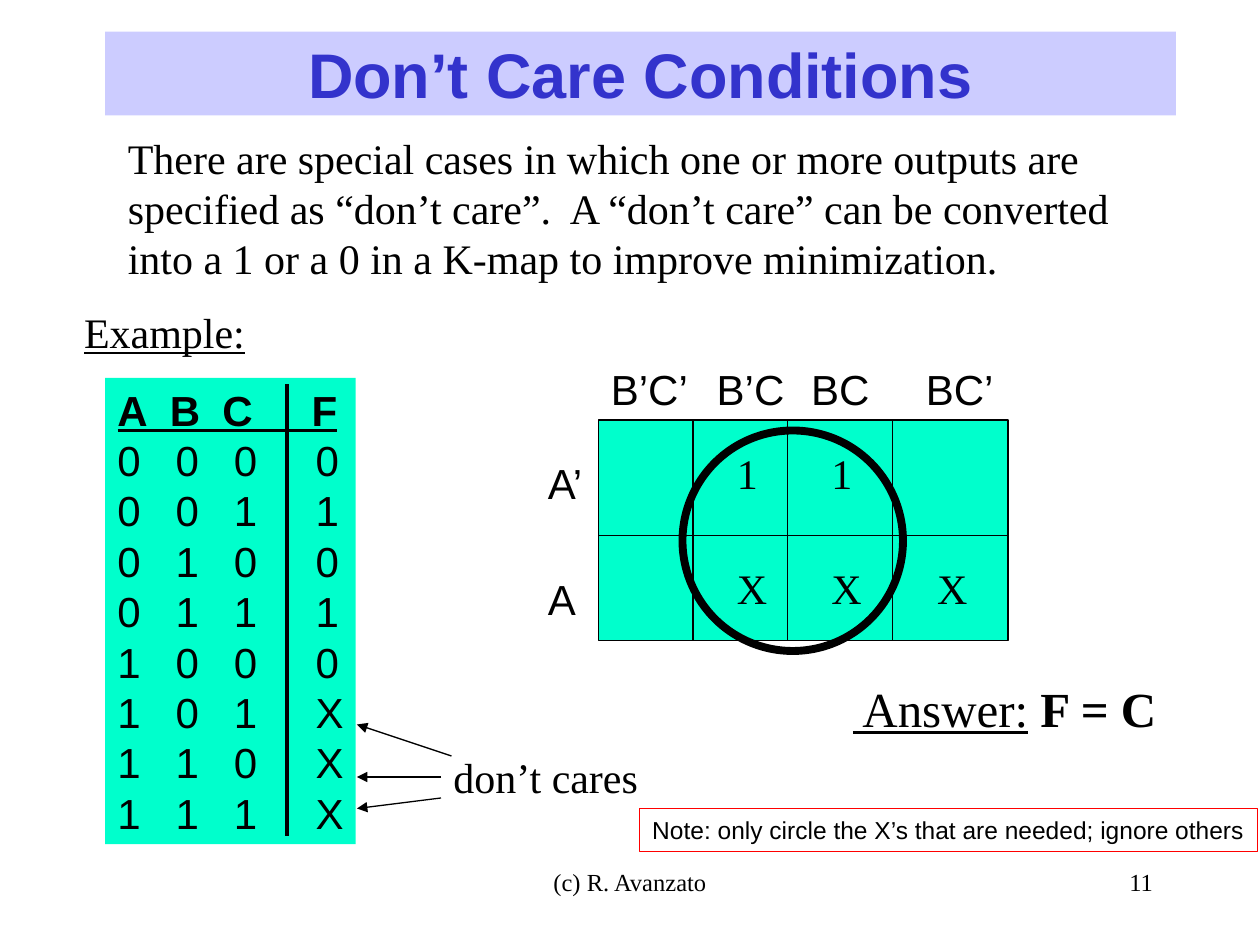
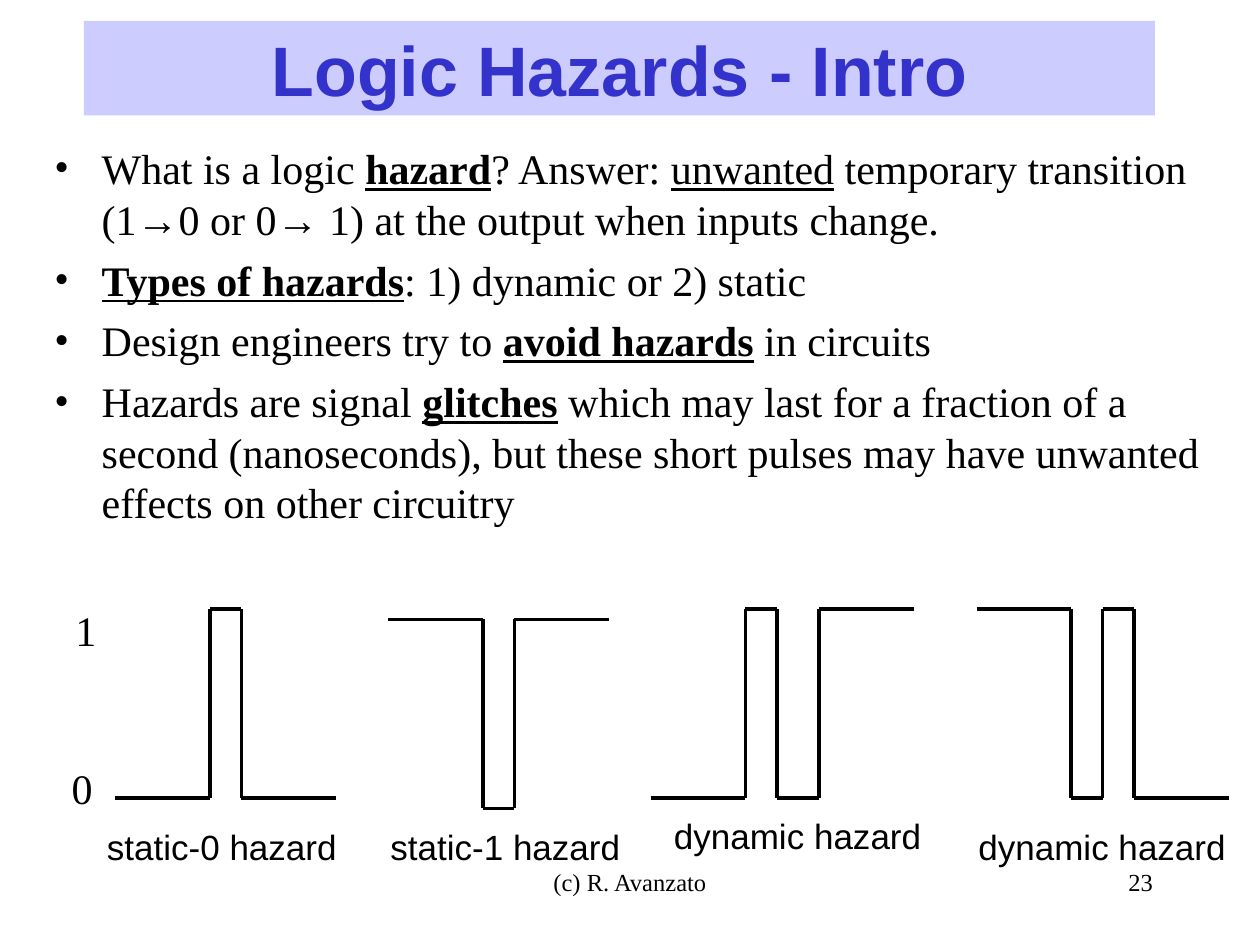
from dataclasses import dataclass
from itertools import accumulate, pairwise

from lxml.etree import SubElement
from pptx import Presentation
from pptx.dml.color import RGBColor as RGB
from pptx.enum.shapes import MSO_CONNECTOR as LINE, MSO_SHAPE as SHAPE
from pptx.enum.text import MSO_ANCHOR as ANCHOR, MSO_AUTO_SIZE as FIT, PP_ALIGN as ALIGN
from pptx.oxml.ns import qn
from pptx.util import Pt


@dataclass(frozen=True)
class Theme:
    ink: RGB = RGB(0, 0, 0)
    title: RGB = RGB(0x33, 0x33, 0xCC)
    band: RGB = RGB(0xCC, 0xCC, 0xFF)
    mint: RGB = RGB(0x00, 0xFF, 0xCC)
    alert: RGB = RGB(0xFF, 0, 0)
    serif: str = "Times New Roman"
    sans: str = "Arial"
    body: float = 24
    answer: float = 28
    caption: float = 20
    small: float = 14
    thin: float = 0.75
    rule: float = 1.25
    medium: float = 2.25
    thick: float = 4.5


T = Theme()


@dataclass(frozen=True)
class Box:
    x: float
    y: float
    w: float
    h: float = 36

    def pts(self) -> tuple:
        return Pt(self.x), Pt(self.y), Pt(self.w), Pt(self.h)


@dataclass(frozen=True)
class Span:
    text: str
    bold: bool = False
    underline: bool = False
    font: str | None = None


@dataclass(frozen=True)
class Label:
    text: str
    box: Box
    font: str = T.sans


@dataclass(frozen=True)
class Waveform:
    x: float
    high: float
    levels: str
    widths: tuple[float, ...]
    caption: Label
    swing: float = 108

    def points(self) -> list[tuple[float, float]]:
        edges = accumulate(self.widths, initial=self.x)
        pts = []
        for level, (left, right) in zip(self.levels, pairwise(edges)):
            y = self.high if level == "1" else self.high + self.swing
            pts += [(left, y), (right, y)]
        return pts


# Text and drawing helpers
def write(p, text: str | list[Span], *, font=T.serif, size=T.body, color=T.ink,
          bold=False, underline=False, align=ALIGN.LEFT, before=0,
          bullet: str = "", indent=0, tabs=()) -> None:
    spans = [Span(text, bold, underline)] if isinstance(text, str) else text
    p.alignment, p.space_before = align, Pt(before)
    pPr = p._p.get_or_add_pPr()
    if bullet:
        pPr.set("marL", str(Pt(indent)))
        pPr.set("indent", str(-Pt(indent)))
        SubElement(pPr, qn("a:buFont"), typeface=T.serif)
        SubElement(pPr, qn("a:buChar"), char=bullet)
    if tabs:
        stops = SubElement(pPr, qn("a:tabLst"))
        for pos in tabs:
            SubElement(stops, qn("a:tab"), pos=str(Pt(pos)), algn="l")
    for span in spans:
        r = p.add_run()
        r.text = span.text
        r.font.name, r.font.size = span.font or font, Pt(size)
        r.font.bold, r.font.underline = span.bold, span.underline
        r.font.color.rgb = color


def set_frame(tf, fit=FIT.NONE, anchor=ANCHOR.TOP, *, snug=False) -> None:
    tf.word_wrap, tf.auto_size, tf.vertical_anchor = True, fit, anchor
    if snug:  # room for one line in a tight box
        tf.margin_right = 0


def add_text(s, text: str | list[Span], box: Box, *, snug=True, **fmt) -> None:
    tf = s.shapes.add_textbox(*box.pts()).text_frame
    set_frame(tf, snug=snug)
    write(tf.paragraphs[0], text, **fmt)


def add_box(shapes, kind, box: Box, *, fill: RGB | None = None,
            line: RGB | None = None, width=T.thin):
    sp = shapes.add_shape(kind, *box.pts())
    sp.shadow.inherit = False
    if fill is None:
        sp.fill.background()
    else:
        sp.fill.solid()
        sp.fill.fore_color.rgb = fill
    if line is None:
        sp.line.fill.background()
    else:
        sp.line.color.rgb, sp.line.width = line, Pt(width)
    return sp


def add_line(shapes, start: tuple[float, float], end: tuple[float, float], *,
             width=T.thin, arrow=False) -> None:
    c = shapes.add_connector(LINE.STRAIGHT, *map(Pt, start + end))
    c.line.color.rgb, c.line.width = T.ink, Pt(width)
    if arrow:
        SubElement(c.line._get_or_add_ln(), qn("a:tailEnd"), type="triangle")
    SubElement(c._element.spPr, qn("a:effectLst"))


def add_slide(prs, title: str, band: Box, size: float, number: int):
    s = prs.slides.add_slide(prs.slide_layouts[5])
    sp = s.shapes.title
    sp.left, sp.top, sp.width, sp.height = band.pts()
    sp.fill.solid()
    sp.fill.fore_color.rgb = T.band
    set_frame(sp.text_frame, anchor=ANCHOR.MIDDLE)
    write(sp.text_frame.paragraphs[0], title, font=T.sans, size=size,
          color=T.title, bold=True, align=ALIGN.CENTER)
    for text, box, align in (("(c) R. Avanzato", Box(246, 492, 228), ALIGN.CENTER),
                             (str(number), Box(516, 492, 150), ALIGN.RIGHT)):
        add_text(s, text, box, snug=False, size=T.small, align=align)
    return s


# Slide: don't care conditions
def add_truth_table(s) -> None:
    sp = add_box(s.shapes, SHAPE.RECTANGLE, Box(60, 216, 143.3, 266.4), fill=T.mint)
    tf = sp.text_frame
    set_frame(tf, snug=True)
    write(tf.paragraphs[0], "A\tB\tC\tF", font=T.sans, bold=True, tabs=(30, 60, 111))
    for i, output in enumerate("01010XXX"):
        write(tf.add_paragraph(), "\t".join(f"{i:03b}{output}"), font=T.sans,
              tabs=(33.3, 66.6, 113.3))
    add_line(s.shapes, (67.2, 246), (192.6, 246), width=T.rule)
    add_line(s.shapes, (164.2, 219.6), (164.2, 478), width=T.medium)


def add_kmap(s) -> None:
    left, top, right, bottom, middle = 342, 240, 576, 366, 306
    grid = s.shapes.add_group_shape().shapes
    add_box(grid, SHAPE.RECTANGLE, Box(left, top, right - left, bottom - top),
            fill=T.mint, line=T.ink)
    add_line(grid, (left, middle), (right, middle))
    for x in (396, 450, 510):
        add_line(grid, (x, top), (x, bottom))
    labels = (
        Label("B’C’", Box(342, 204, 58.3)),
        Label("B’C", Box(402.5, 204, 52.6)),
        Label("BC", Box(456.5, 204, 47.5)),
        Label("BC’", Box(522, 204, 52.6)),
        Label("A’", Box(306, 258, 35.3)),
        Label("A", Box(306, 324, 30.2)),
        Label("1", Box(414, 252, 26), T.serif),
        Label("1", Box(468, 252, 26), T.serif),
        Label("X", Box(414, 318, 31.7), T.serif),
        Label("X", Box(468, 318, 31.7), T.serif),
        Label("X", Box(528.5, 318, 31.7), T.serif),
    )
    for label in labels:
        add_text(s, label.text, label.box, font=label.font)
    add_box(s.shapes, SHAPE.OVAL, Box(390, 246, 126, 126), line=T.ink, width=T.thick)


def build_dont_care(prs) -> None:
    s = add_slide(prs, "Don’t Care Conditions", Box(60, 18, 612, 48), 36, 11)
    add_text(s, "There are special cases in which one or more outputs are specified "
             "as “don’t care”.  A “don’t care” can be converted into a 1 or a 0 "
             "in a K-map to improve minimization.", Box(66, 72, 607, 93.6), snug=False)
    add_text(s, "Example:", Box(41, 171.4, 105.8), underline=True)
    add_truth_table(s)
    for start, end in (((258, 432), (204, 414)), ((252, 444), (204, 444)),
                       ((252, 456), (204, 462))):
        add_line(s.shapes, start, end, arrow=True)
    add_text(s, "don’t cares", Box(252, 426, 120))
    add_kmap(s)
    add_text(s, [Span(" Answer:", underline=True), Span(" F = C", bold=True)],
             Box(480.3, 384, 190, 41), size=T.answer)
    note = add_box(s.shapes, SHAPE.RECTANGLE, Box(365.6, 462, 353, 24.5), line=T.alert)
    set_frame(note.text_frame, snug=True)
    write(note.text_frame.paragraphs[0],
          "Note: only circle the X’s that are needed; ignore others",
          font=T.sans, size=T.small)


# Slide: logic hazards
def strong(text: str) -> Span:
    return Span(text, bold=True, underline=True)


ARROW = Span("→", font=T.sans)
HAZARD_POINTS = (
    [Span("What is a logic "), strong("hazard"), Span("? Answer: "),
     Span("unwanted", underline=True), Span(" temporary transition (1"), ARROW,
     Span("0 or 0"), ARROW, Span(" 1) at the output when inputs change.")],
    [strong("Types of hazards"), Span(": 1) dynamic or 2) static")],
    [Span("Design engineers try to "), strong("avoid hazards"), Span(" in circuits")],
    [Span("Hazards are signal "), strong("glitches"),
     Span(" which may last for a fraction of a second (nanoseconds), but these "
          "short pulses may have unwanted effects on other circuitry")],
)
WAVEFORMS = (
    Waveform(66, 348, "010", (54, 18, 54),
             Label("static-0 hazard", Box(54, 468, 145.4, 31.7))),
    Waveform(222, 354, "101", (54, 18, 54),
             Label("static-1 hazard", Box(216, 468, 145.4, 31.7))),
    Waveform(372, 348, "0101", (54, 18, 24, 54),
             Label("dynamic hazard", Box(378, 462, 155.5, 31.7))),
    Waveform(558, 348, "1010", (54, 18, 18, 54),
             Label("dynamic hazard", Box(552, 468, 155.5, 31.7))),
)


def build_hazards(prs) -> None:
    s = add_slide(prs, "Logic Hazards - Intro", Box(48, 12, 612, 54), 40, 23)
    tf = s.shapes.add_textbox(*Box(24, 78, 672, 396).pts()).text_frame
    set_frame(tf)
    for i, spans in enumerate(HAZARD_POINTS):
        p = tf.add_paragraph() if i else tf.paragraphs[0]
        write(p, spans, before=6, bullet="•", indent=27)
    add_text(s, "1", Box(36, 342, 26))
    add_text(s, "0", Box(33.8, 432, 26))
    for wave in WAVEFORMS:
        trace = s.shapes.add_group_shape().shapes
        for start, end in pairwise(wave.points()):
            add_line(trace, start, end, width=T.medium)
        add_text(s, wave.caption.text, wave.caption.box, font=wave.caption.font,
                 size=T.caption)


def main() -> None:
    prs = Presentation()
    prs.slide_width, prs.slide_height = Pt(720), Pt(540)
    build_dont_care(prs)
    build_hazards(prs)
    prs.save("out.pptx")


if __name__ == "__main__":
    main()
